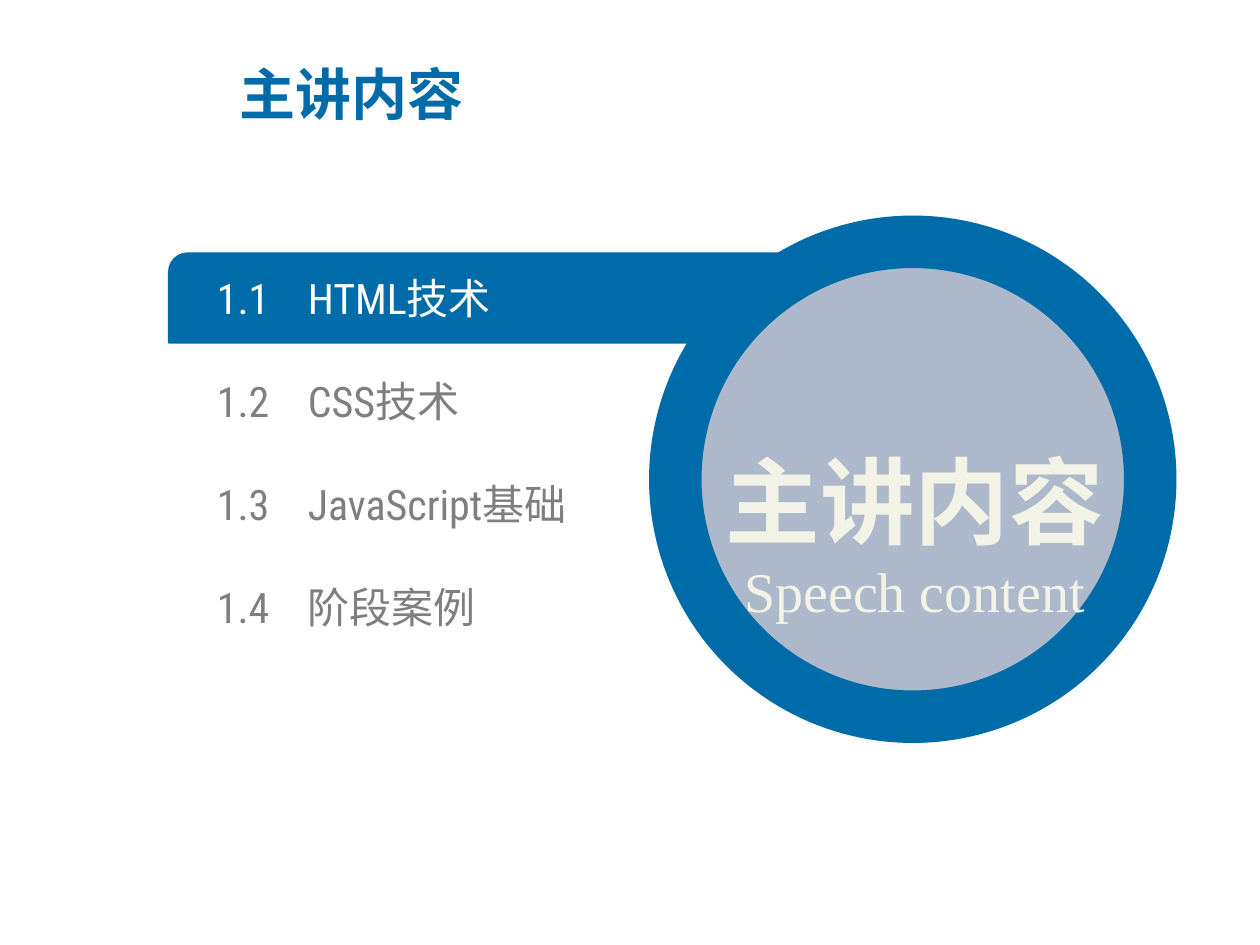
import pptx
import pptx.util
import pptx.dml.color
import pptx.enum.shapes
import pptx.enum.text
from pptx.oxml.ns import qn
from lxml import etree

Pt = pptx.util.Pt
SHAPE = pptx.enum.shapes.MSO_SHAPE
ALIGN = pptx.enum.text.PP_ALIGN
MIDDLE = pptx.enum.text.MSO_ANCHOR.MIDDLE

BLUE, PALE, CREAM, GREY, WHITE = "006BA9", "ADB9CA", "F2F2E6", "7F7F7F", "FFFFFF"
CJK = "Noto Sans CJK SC"
HEAD = {"name": CJK, "size": Pt(32), "bold": True}
ITEM = {"name": "Roboto Condensed", "size": Pt(24), "bold": False}
LARGE = {"name": CJK, "size": Pt(54), "bold": True}
SMALL = {"name": "Times New Roman", "size": Pt(32), "bold": False}
TOPICS = ["HTML技术", "CSS技术", "JavaScript基础", "阶段案例"]


def rgb(code):
    return pptx.dml.color.RGBColor.from_string(code)


def write(para, text, form, color):
    """Add a run with the given font values, for Chinese letters too."""
    run = para.add_run()
    run.text = text
    for key, value in form.items():
        setattr(run.font, key, value)
    run.font.color.rgb = rgb(color)
    latin = run.font._element.find(qn("a:latin"))
    east = etree.Element(qn("a:ea"), typeface=CJK)
    latin.addnext(east)


def set_frame(frame, inset=None):
    frame.word_wrap = True
    frame.vertical_anchor = MIDDLE
    if inset is not None:
        for side in ("left", "top", "right", "bottom"):
            setattr(frame, "margin_" + side, Pt(inset))


def add_figure(slide, kind, box, fill, width):
    shape = slide.shapes.add_shape(kind, *map(Pt, box))
    shape.shadow.inherit = False
    shape.fill.solid()
    shape.fill.fore_color.rgb = rgb(fill)
    shape.line.color.rgb = rgb(BLUE)
    shape.line.width = Pt(width)
    return shape


def add_title(slide, left, top, width, height):
    title = slide.shapes.title
    for key, value in zip(("left", "top", "width", "height"),
                          (left, top, width, height)):
        setattr(title, key, Pt(value))
    set_frame(title.text_frame)
    para = title.text_frame.paragraphs[0]
    para.alignment = ALIGN.LEFT
    write(para, "主讲内容", HEAD, BLUE)


def add_menu(slide, left, top, width, height):
    """Place the topics at equal steps, the first one on a blue bar."""
    bar = add_figure(slide, SHAPE.ROUND_2_DIAG_RECTANGLE,
                     (left, top, width, 51.2), BLUE, 1)
    bar.adjustments[0] = 0.21
    bar.adjustments[1] = 0
    row = 29
    step = (height - 51.2) / (len(TOPICS) - 1)
    for index, topic in enumerate(TOPICS):
        box = slide.shapes.add_textbox(
            Pt(left + 27.4), Pt(top + 11 + index * step), Pt(264), Pt(row))
        set_frame(box.text_frame, 0)
        para = box.text_frame.paragraphs[0]
        tabs = etree.SubElement(para._p.get_or_add_pPr(), qn("a:tabLst"))
        etree.SubElement(tabs, qn("a:tab"), pos=str(Pt(52)), algn="l")
        write(para, f"1.{index + 1}\t{topic}", ITEM, GREY if index else WHITE)


def add_badge(slide, left, top, size):
    add_figure(slide, SHAPE.OVAL, (left, top, size, size), PALE, 30)
    box = slide.shapes.add_textbox(
        Pt(left - 3.6), Pt(top + 78.5), Pt(size + 9.4), Pt(144))
    set_frame(box.text_frame)
    first = box.text_frame.paragraphs[0]
    first.line_spacing = 1.5
    write(first, "主讲内容", LARGE, CREAM)
    second = box.text_frame.add_paragraph()
    write(second, "Speech content", SMALL, CREAM)
    for para in (first, second):
        para.alignment = ALIGN.CENTER


def main():
    deck = pptx.Presentation()
    deck.slide_width, deck.slide_height = Pt(720), Pt(540)
    slide = deck.slides.add_slide(deck.slide_layouts[5])
    add_title(slide, 129.6, 31, 389.5, 44)
    add_menu(slide, 96.5, 144.7, 354.2, 227.6)
    add_badge(slide, 385.9, 138.2, 271.4)
    deck.save("out.pptx")


if __name__ == "__main__":
    main()
